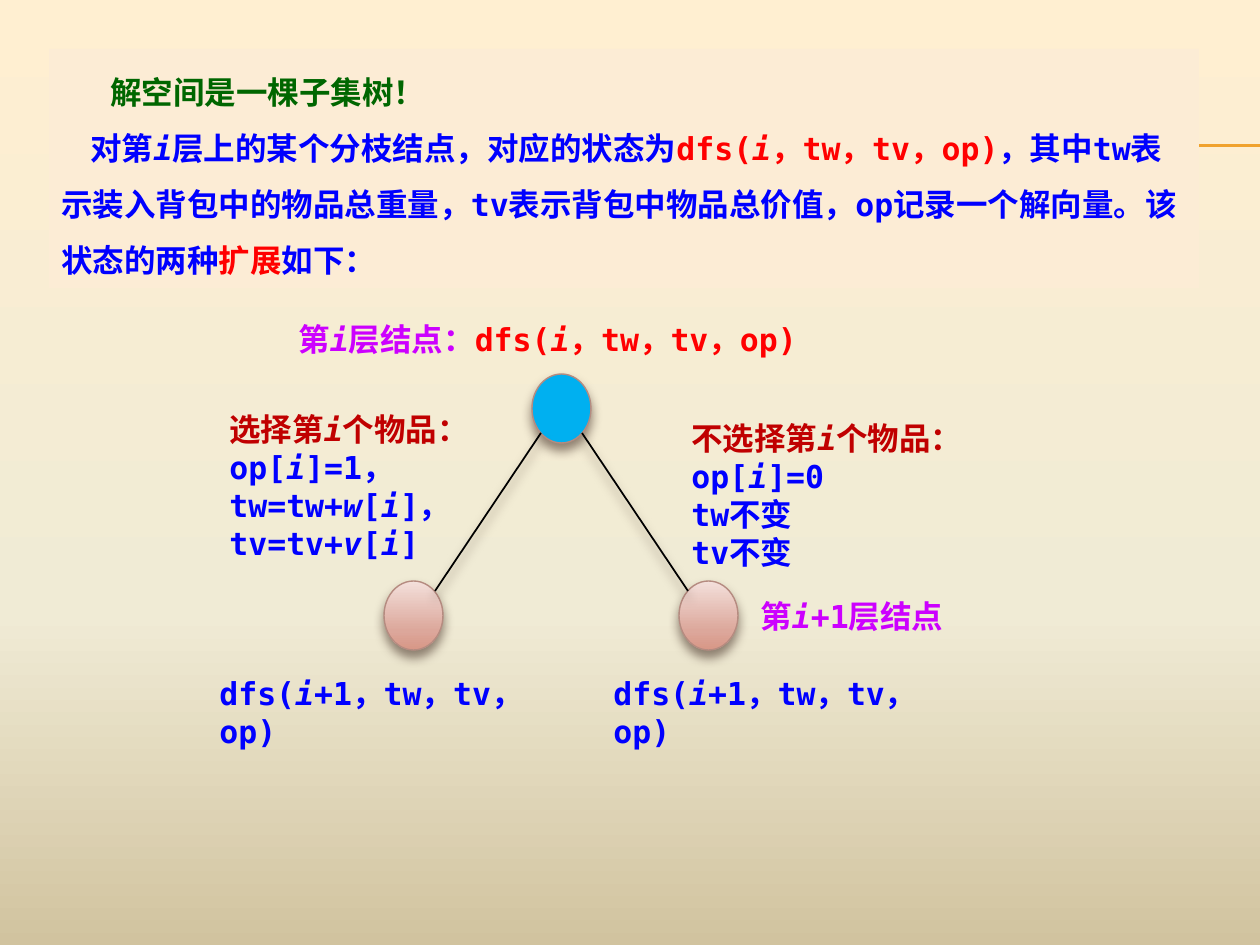
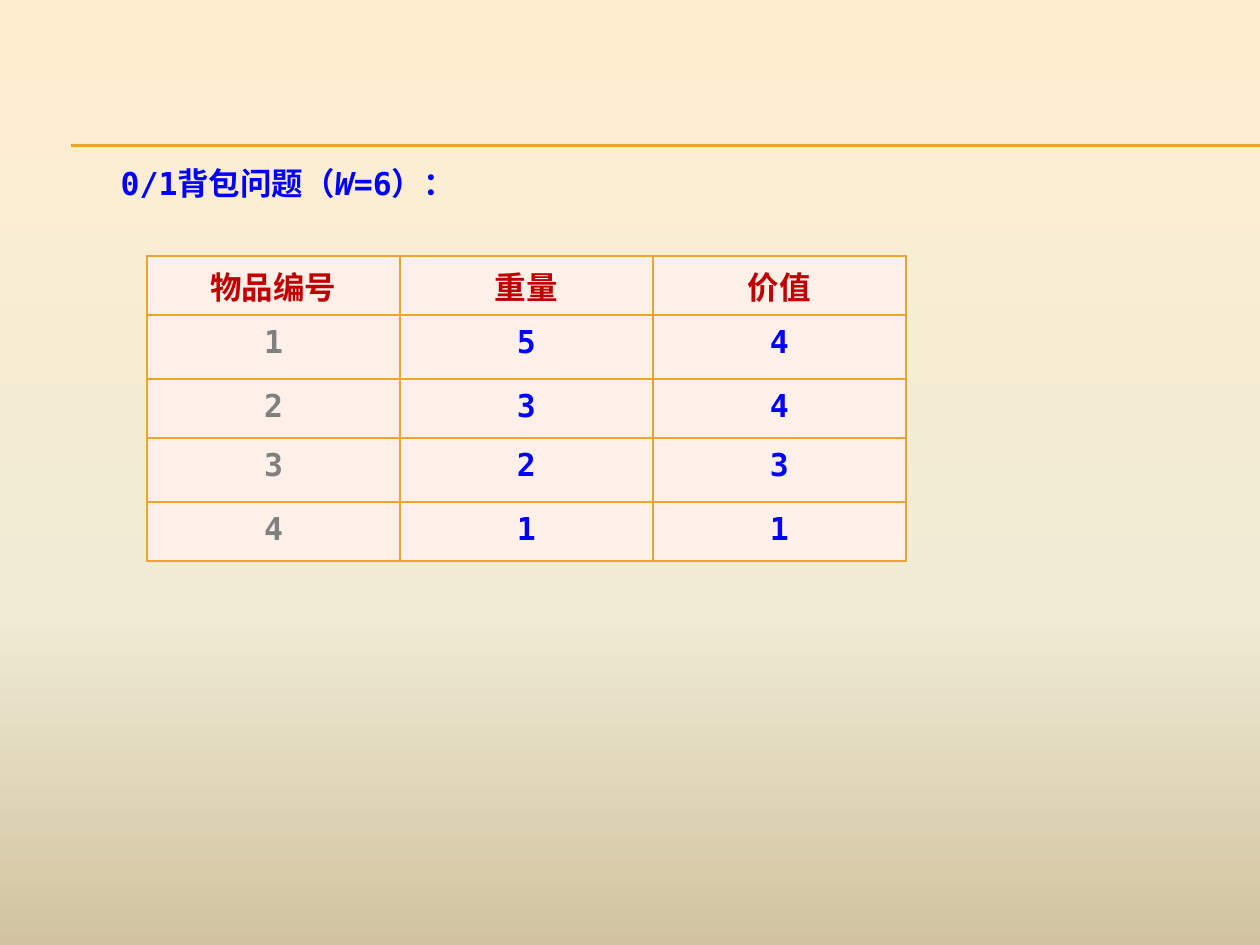
import pptx
import pptx.util
import pptx.dml.color
import pptx.enum.shapes
import pptx.enum.text
import pptx.oxml
import pptx.oxml.ns

SCALE = 914400 / 126
INK = {
    "green": "006600", "blue": "0000FF", "red": "FF0000", "pink": "CC00FF",
    "wine": "C00000", "grey": "808080", "gold": "F0A22E", "black": "000000",
    "panel": "FCECD5", "cell": "FCF0E8", "root": "00B0F0", "rim": "B58B80",
    "shade": "4E3B30",
}
BACK = [(0, "FFEFD1"), (65, "F0EBD5"), (100, "D1C39F")]
LEAF = [(0, "F3E0DB"), (72, "DCA79B"), (100, "D89787")]
LATIN, HAN = "DejaVu Sans Mono", "Noto Sans CJK SC"
NODE = (59, 69)
SPACE = 'xmlns:a="http://schemas.openxmlformats.org/drawingml/2006/main"'
ALIGN = pptx.enum.text.PP_ALIGN
ANCHOR = pptx.enum.text.MSO_ANCHOR
SHAPE = pptx.enum.shapes.MSO_SHAPE
Pt = pptx.util.Pt


def px(*sizes):
    """Turn pixel lengths into EMU."""
    return [pptx.util.Emu(round(size * SCALE)) for size in sizes]


def tint(name):
    """Return the named colour."""
    return pptx.dml.color.RGBColor.from_string(INK[name])


def xml(text):
    """Parse a drawing element."""
    return pptx.oxml.parse_xml(f"<a:wrap {SPACE}>{text}</a:wrap>")[0]


def blend(fill, root, stops):
    """Give a fill a downward gradient with the given stops."""
    fill.gradient()
    fill.gradient_angle = 270
    holder = next(root.iter(pptx.oxml.ns.qn("a:gsLst")))
    for stop in list(holder):
        holder.remove(stop)
    for place, colour in stops:
        holder.append(xml(f'<a:gs pos="{place * 1000}"><a:srgbClr val="{colour}"/></a:gs>'))


def shade(shape, cast=True):
    """Give a shape a soft shadow, or an empty effect list."""
    drop = (f'<a:outerShdw blurRad="{Pt(6)}" dist="{Pt(4)}" dir="5400000" rotWithShape="0">'
            f'<a:srgbClr val="{INK["shade"]}"><a:alpha val="60000"/></a:srgbClr>'
            '</a:outerShdw>') if cast else ""
    shape.element.spPr.append(xml(f"<a:effectLst>{drop}</a:effectLst>"))


def line(shapes, start, end, colour, width, cast):
    """Draw a straight line between two points."""
    link = shapes.add_connector(pptx.enum.shapes.MSO_CONNECTOR.STRAIGHT, *px(*start, *end))
    link.line.color.rgb = tint(colour)
    link.line.width = Pt(width)
    shade(link, cast)
    return link


def write(para, parts, lead=None, indent=0, align=ALIGN.LEFT):
    """Write coloured parts in a paragraph, with italics between asterisks."""
    para.alignment = align
    para.line_spacing = Pt(lead) if lead else 1.0
    if indent:
        props = para._p.get_or_add_pPr()
        props.set("marL", "0")
        props.set("indent", str(px(indent)[0]))
    for colour, text in parts:
        for index, piece in enumerate(text.split("*")):
            if not piece:
                continue
            run = para.add_run()
            run.text = piece
            font = run.font
            font.size, font.bold, font.italic = Pt(18), True, index % 2 == 1
            font.color.rgb = tint(colour)
            font.name = LATIN
            run._r.get_or_add_rPr().append(xml(f'<a:ea typeface="{HAN}"/>'))


def fill_text(shape, paras, **style):
    """Write paragraphs in a wrapped frame that starts at the top."""
    frame = shape.text_frame
    frame.word_wrap = True
    frame.auto_size = pptx.enum.text.MSO_AUTO_SIZE.NONE
    frame.vertical_anchor = ANCHOR.TOP
    for index, parts in enumerate(paras):
        para = frame.add_paragraph() if index else frame.paragraphs[0]
        write(para, parts, **style)


def label(shapes, box, *paras):
    """Add a text box."""
    fill_text(shapes.add_textbox(*px(*box)), paras)


def node(shapes, left, top, leaf=True):
    """Add a tree node, shaded for a leaf and plain for the root."""
    dot = shapes.add_shape(SHAPE.OVAL, *px(left, top, *NODE))
    if leaf:
        blend(dot.fill, dot.element.spPr, LEAF)
    else:
        dot.fill.solid()
        dot.fill.fore_color.rgb = tint("root")
    dot.line.color.rgb = tint("rim")
    dot.line.width = Pt(0.79)
    shade(dot)


def intro(slide, box):
    """Add the panel that explains the state."""
    panel = slide.shapes.add_shape(SHAPE.RECTANGLE, *px(*box))
    panel.shadow.inherit = False
    panel.fill.solid()
    panel.fill.fore_color.rgb = tint("panel")
    panel.line.fill.background()
    fill_text(panel, [[("green", "解空间是一棵子集树！")]], lead=32, indent=49)
    write(panel.text_frame.add_paragraph(), [
        ("blue", "对第*i*层上的某个分枝结点，对应的状态为"),
        ("red", "dfs(*i*，tw，tv，op)"),
        ("blue", "，其中tw表示装入背包中的物品总重量，tv表示背包中物品总价值，"
                 "op记录一个解向量。该状态的两种"),
        ("red", "扩展"), ("blue", "如下："),
    ], lead=32, indent=29)


def branch(slide, left, top, mid, side, note, paras):
    """Add one branch: leaf, edge, note and call; side points to the root."""
    shapes = slide.shapes.add_group_shape().shapes
    mid += left
    node(shapes, mid - NODE[0] // 2 - 1, top + 177)
    line(shapes, (mid + side * 127, top + 29), (mid + side * 21, top + 187), "black", 1, True)
    across, down, width = note
    label(shapes, (left + across, top + down, width, 165), *paras)
    label(shapes, (left, top + 264, 354, 50), [("blue", "dfs(*i*+1，tw，tv，op)")])
    return shapes


def tree(slide, left, top):
    """Add the root with its two branches."""
    node(slide.shapes, left + 325, top + 60, leaf=False)
    label(slide.shapes, (left + 79, top, 552, 50),
          [("pink", "第*i*层结点："), ("red", "dfs(*i*，tw，tv，op)")])
    branch(slide, left, top + 90, 207, 1, (10, 0, 295), [
        [("wine", "选择第*i*个物品："),
         ("blue", "op[*i*]=1， tw=tw+*w*[*i*]，tv=tv+*v*[*i*]")]])
    skip = branch(slide, left + 394, top + 90, 108, -1, (78, 9, 286), [
        [("wine", "不选择第*i*个物品："), ("blue", "op[*i*]=0")],
        [("blue", "tw不变")], [("blue", "tv不变")]])
    label(skip, (left + 541, top + 277, 295, 50), [("pink", "第*i*+1层结点")])


def goods(slide, left, top):
    """Add the table of items with weights and values."""
    rows = [("物品编号", "重量", "价值"), (1, 5, 4), (2, 3, 4), (3, 2, 3), (4, 1, 1)]
    highs = [59, 64, 59, 64, 59]
    frame = slide.shapes.add_table(5, 3, *px(left, top, 3 * 253, sum(highs)))
    grid = frame.table
    grid.horz_banding = grid.first_row = False
    for col in grid.columns:
        col.width = px(253)[0]
    for i, (row, high) in enumerate(zip(rows, highs)):
        grid.rows[i].height = px(high)[0]
        for j, value in enumerate(row):
            cell = grid.cell(i, j)
            cell.margin_top = cell.margin_bottom = 0
            cell.fill.solid()
            cell.fill.fore_color.rgb = tint("cell")
            props = cell._tc.get_or_add_tcPr()
            for k, edge in enumerate("LRTB"):
                props.insert(k, xml(
                    f'<a:ln{edge} w="{Pt(1)}"><a:solidFill><a:srgbClr val="{INK["gold"]}"/>'
                    f"</a:solidFill></a:ln{edge}>"))
            colour = "wine" if i == 0 else "blue" if j else "grey"
            write(cell.text_frame.paragraphs[0], [(colour, str(value))],
                  lead=26 if i else 30, align=ALIGN.CENTER)


def heading(slide, box):
    """Move and format the title."""
    title = slide.shapes.title
    title.left, title.top, title.width, title.height = px(*box)
    fill_text(title, [[("blue", "0/1背包问题（*W*=6）：")]])


def theme(deck, slide):
    """Set the shared background and the double rule on the master."""
    master = deck.slide_master
    blend(master.background.fill, master.element, BACK)
    for y in (145, 146):
        rule = line(slide.shapes, (71, y), (1260, y), "gold", 0.75, False)
        master.shapes.element.append(rule.element)


def main():
    """Build and save the two slides."""
    deck = pptx.Presentation()
    deck.slide_width, deck.slide_height = px(1260, 945)
    first = deck.slides.add_slide(deck.slide_layouts[6])
    theme(deck, first)
    intro(first, (49, 49, 1150, 239))
    tree(first, 207, 314)
    second = deck.slides.add_slide(deck.slide_layouts[5])
    goods(second, 147, 256)
    heading(second, (108, 158, 483, 50))
    deck.save("out.pptx")


if __name__ == "__main__":
    main()
